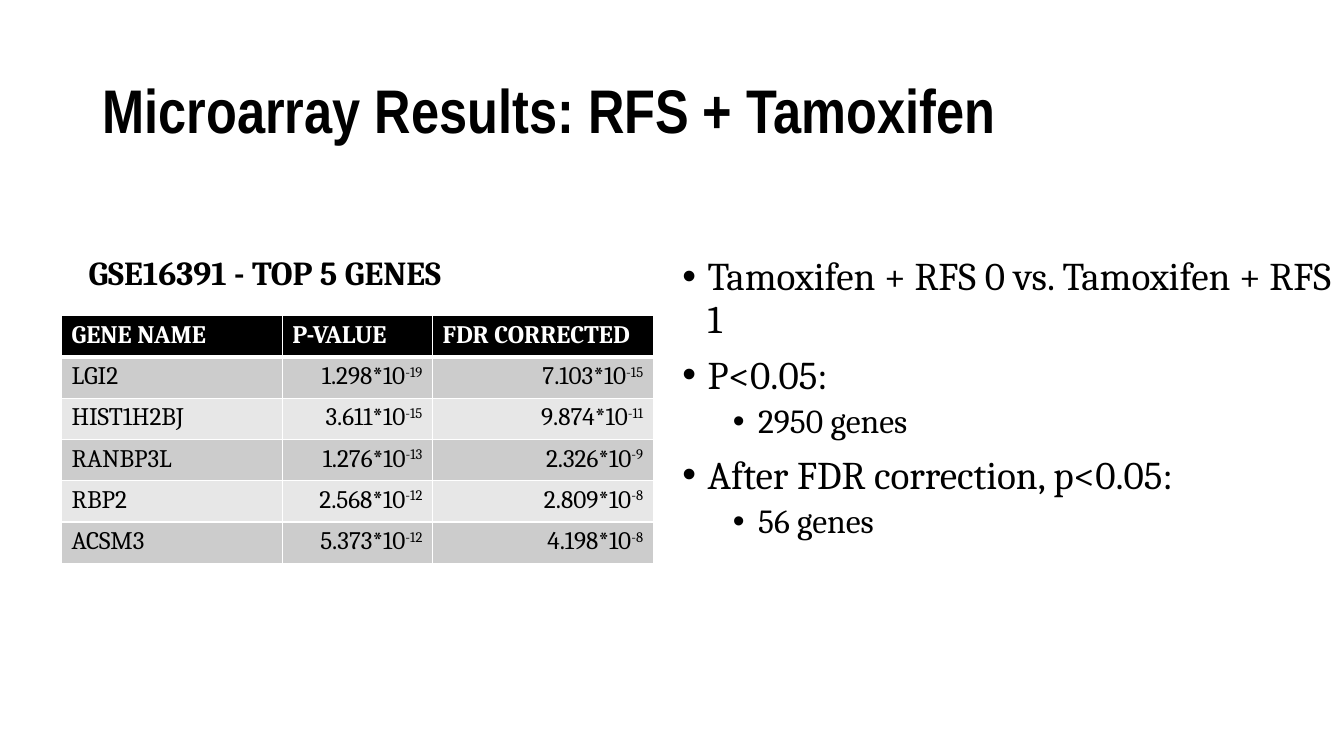
from dataclasses import dataclass

import pptx
import pptx.dml.color
import pptx.enum.text
import pptx.oxml
import pptx.oxml.ns
import pptx.util
from lxml import etree

Inches = pptx.util.Inches
Pt = pptx.util.Pt
Align = pptx.enum.text.PP_ALIGN
Anchor = pptx.enum.text.MSO_ANCHOR

BLACK = "000000"
WHITE = "FFFFFF"
BODY_FONT = "Cambria"
BAND_FILLS = ("CCCCCC", "E7E7E7")
COLUMN_WIDTHS = (2.19, 1.49, 2.19)
ROW_HEIGHT = 0.41


@dataclass
class Style:
    size: float
    bold: bool = False
    font: str = BODY_FONT
    color: str = BLACK


@dataclass
class Bullet:
    text: str
    level: int = 0


@dataclass
class Gene:
    name: str
    p_value: tuple[str, str]
    corrected: tuple[str, str]


TITLE_STYLE = Style(44, True, "Arial Narrow")
SUBTITLE_STYLE = Style(24, True)
HEADER_STYLE = Style(18, True, color=WHITE)
CELL_STYLE = Style(18)
BULLET_STYLES = (Style(28), Style(24))

HEADERS = ("GENE NAME", "P-VALUE", "FDR CORRECTED")
GENES = (
    Gene("LGI2", ("1.298*10", "-19"), ("7.103*10", "-15")),
    Gene("HIST1H2BJ", ("3.611*10", "-15"), ("9.874*10", "-11")),
    Gene("RANBP3L", ("1.276*10", "-13"), ("2.326*10", "-9")),
    Gene("RBP2", ("2.568*10", "-12"), ("2.809*10", "-8")),
    Gene("ACSM3", ("5.373*10", "-12"), ("4.198*10", "-8")),
)
BULLETS = (
    Bullet("Tamoxifen + RFS 0 vs. Tamoxifen + RFS 1"),
    Bullet("P<0.05:"),
    Bullet("2950 genes", 1),
    Bullet("After FDR correction, p<0.05:"),
    Bullet("56 genes", 1),
)


def rgb(color: str) -> pptx.dml.color.RGBColor:
    return pptx.dml.color.RGBColor.from_string(color)


def add_span(para, text: str, style: Style, raised: bool = False) -> None:
    span = para.add_run()
    span.text = text
    span.font.size = Pt(style.size)
    span.font.bold = style.bold
    span.font.name = style.font
    span.font.color.rgb = rgb(style.color)
    if raised:
        span.font._element.set("baseline", "30000")


def add_box(page, left: float, top: float, width: float, height: float, anchor):
    box = page.shapes.add_textbox(Inches(left), Inches(top), Inches(width), Inches(height))
    box.text_frame.word_wrap = True
    box.text_frame.vertical_anchor = anchor
    return box.text_frame


def add_heading(page, text: str, style: Style, place: tuple, anchor) -> None:
    para = add_box(page, *place, anchor).paragraphs[0]
    para.line_spacing = 0.9
    add_span(para, text, style)


def add_bullets(page) -> None:
    frame = add_box(page, 6.67, 2.5, 6.81, 4.03, Anchor.TOP)
    for index, bullet in enumerate(BULLETS):
        para = frame.add_paragraph() if index else frame.paragraphs[0]
        para.level = bullet.level
        para.line_spacing = 0.9
        para.space_before = Pt(5 if bullet.level else 10)
        properties = para._p.get_or_add_pPr()
        properties.set("marL", str(Inches(0.25 + 0.5 * bullet.level)))
        properties.set("indent", str(Inches(-0.25)))
        font = etree.SubElement(properties, pptx.oxml.ns.qn("a:buFont"))
        font.set("typeface", "Arial")
        mark = etree.SubElement(properties, pptx.oxml.ns.qn("a:buChar"))
        mark.set("char", "•")
        add_span(para, bullet.text, BULLET_STYLES[bullet.level])


def set_borders(cell, top: float, bottom: float) -> None:
    properties = cell._tc.get_or_add_tcPr()
    for side, width in (("L", 1), ("R", 1), ("T", top), ("B", bottom)):
        properties.append(pptx.oxml.parse_xml(
            f'<a:ln{side} {pptx.oxml.ns.nsdecls("a")} w="{Pt(width)}">'
            f'<a:solidFill><a:srgbClr val="{WHITE}"/></a:solidFill></a:ln{side}>'
        ))


def paint_cell(cell, color: str, top: float, bottom: float) -> None:
    set_borders(cell, top, bottom)
    cell.fill.solid()
    cell.fill.fore_color.rgb = rgb(color)


def add_gene_table(page) -> None:
    row_count = len(GENES) + 1
    table = page.shapes.add_table(
        row_count, len(HEADERS), Inches(0.61), Inches(3.13),
        Inches(sum(COLUMN_WIDTHS)), Inches(ROW_HEIGHT * row_count),
    ).table
    for column, width in zip(table.columns, COLUMN_WIDTHS):
        column.width = Inches(width)
    for row in table.rows:
        row.height = Inches(ROW_HEIGHT)
    for column, header in enumerate(HEADERS):
        cell = table.cell(0, column)
        paint_cell(cell, BLACK, 1, 3)
        add_span(cell.text_frame.paragraphs[0], header, HEADER_STYLE)
    for row, gene in enumerate(GENES, start=1):
        for column in range(len(HEADERS)):
            paint_cell(table.cell(row, column), BAND_FILLS[(row - 1) % 2], 3 if row == 1 else 1, 1)
        add_span(table.cell(row, 0).text_frame.paragraphs[0], gene.name, CELL_STYLE)
        for column, (base, exponent) in enumerate((gene.p_value, gene.corrected), start=1):
            para = table.cell(row, column).text_frame.paragraphs[0]
            para.alignment = Align.RIGHT
            add_span(para, base, CELL_STYLE)
            add_span(para, exponent, CELL_STYLE, raised=True)


def main() -> None:
    deck = pptx.Presentation()
    deck.slide_width = Inches(13.33)
    deck.slide_height = Inches(7.5)
    page = deck.slides.add_slide(deck.slide_layouts[6])
    add_heading(page, "Microarray Results: RFS + Tamoxifen", TITLE_STYLE,
                (0.92, 0.4, 12.41, 1.45), Anchor.MIDDLE)
    add_heading(page, "GSE16391 - TOP 5 GENES", SUBTITLE_STYLE,
                (0.78, 2.05, 5.64, 0.9), Anchor.BOTTOM)
    add_bullets(page)
    add_gene_table(page)
    deck.save("out.pptx")


if __name__ == "__main__":
    main()
